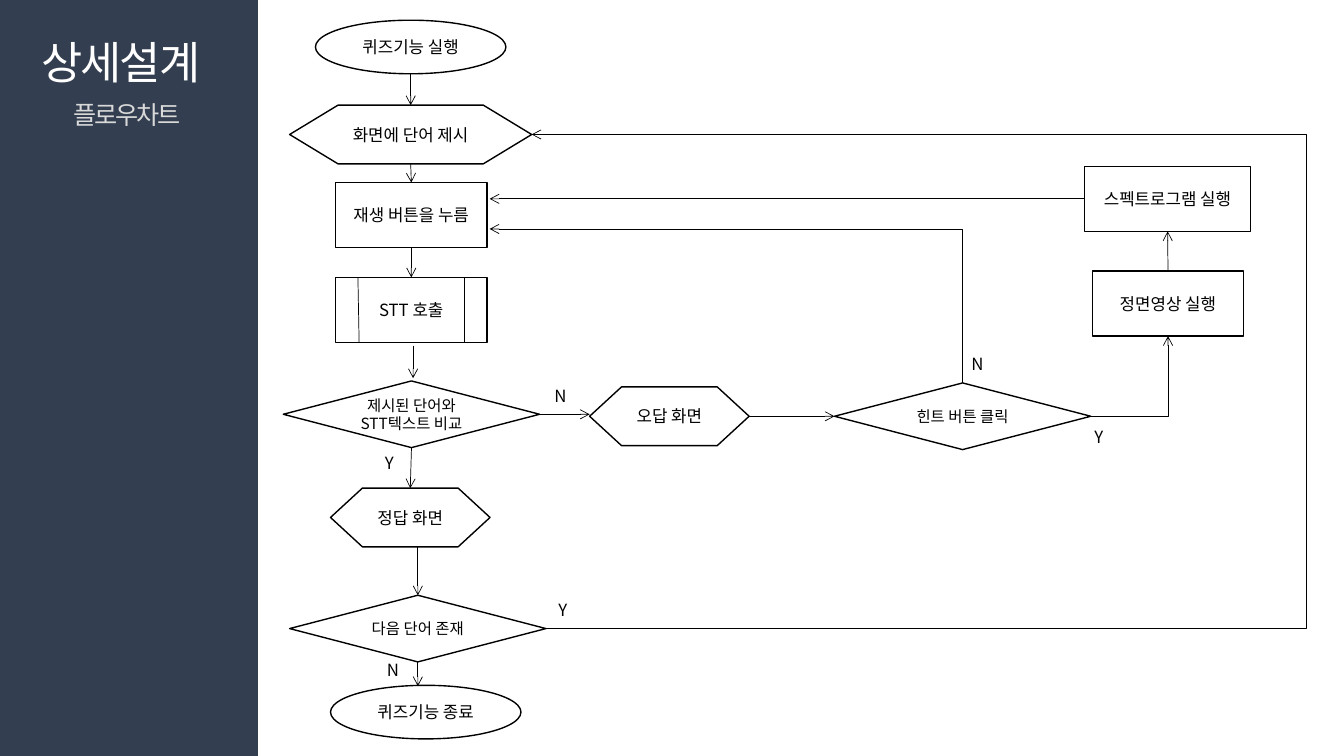
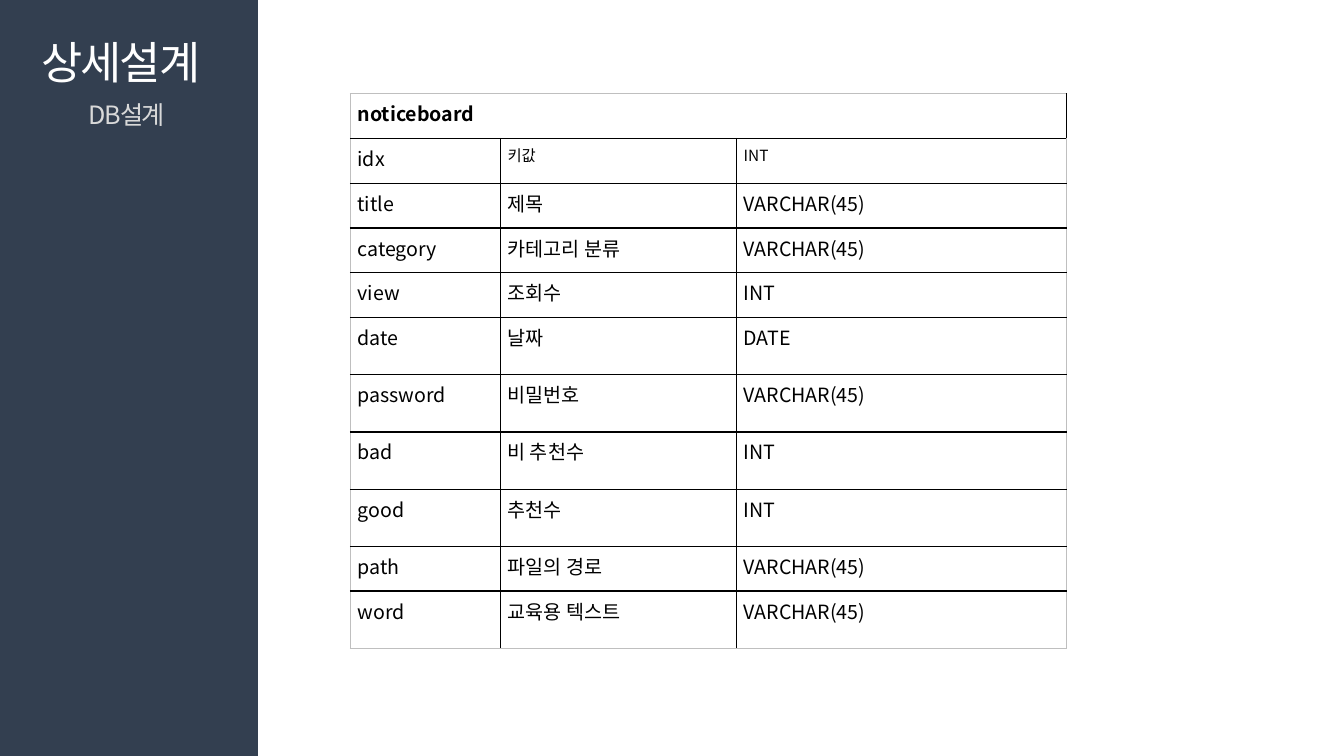
from dataclasses import dataclass

from lxml import etree
from pptx import Presentation
from pptx.dml.color import RGBColor
from pptx.enum.shapes import MSO_CONNECTOR, MSO_SHAPE
from pptx.enum.text import MSO_ANCHOR, MSO_AUTO_SIZE, PP_ALIGN
from pptx.oxml.ns import qn
from pptx.util import Cm, Pt

RECT = MSO_SHAPE.RECTANGLE
OVAL = MSO_SHAPE.OVAL
DECISION = MSO_SHAPE.FLOWCHART_DECISION
SCREEN = MSO_SHAPE.FLOWCHART_PREPARATION
STRAIGHT, ELBOW = MSO_CONNECTOR.STRAIGHT, MSO_CONNECTOR.ELBOW
LEFT, CENTER = PP_ALIGN.LEFT, PP_ALIGN.CENTER
MIDDLE = MSO_ANCHOR.MIDDLE
GROW = MSO_AUTO_SIZE.SHAPE_TO_FIT_TEXT
TOP_SIDE, LEFT_SIDE, BOTTOM_SIDE, RIGHT_SIDE = range(4)


@dataclass(frozen=True)
class Theme:
    font: str = "Noto Sans CJK KR"
    band: str = "333F50"
    ink: str = "000000"
    paper: str = "FFFFFF"
    subtitle: str = "D9D9D9"
    frame: str = "BFBFBF"
    title_size: int = 32
    subtitle_size: int = 18
    table_size: int = 14
    body_size: int = 12
    small_size: int = 11
    outline: float = 1
    hairline: float = 0.5
    tracking: float = -1.5


THEME = Theme()

# Content: shared title and subtitles
TITLE = "상세설계"
FLOW_SUBTITLE = "플로우차트"
DB_SUBTITLE = "DB설계"

# Content: flowchart, lengths in cm
NODE_SIZES = {OVAL: (4.8, 1.35), RECT: (3.81, 1.64),
              DECISION: (6.46, 1.68), SCREEN: (4.02, 1.48)}
NODES = {  # name: shape, left, top, text, optional width
    "start": (OVAL, 7.95, 0.51, "퀴즈기능 실행"),
    "show": (SCREEN, 7.3, 2.65, "화면에 단어 제시", 6.1),
    "play": (RECT, 8.46, 4.6, "재생 버튼을 누름"),
    "stt": (RECT, 8.46, 6.99, "STT 호출"),
    "compare": (DECISION, 7.14, 9.6, "제시된 단어와 STT텍스트 비교"),
    "wrong": (SCREEN, 14.86, 9.75, "오답 화면"),
    "correct": (SCREEN, 8.33, 12.3, "정답 화면"),
    "next": (DECISION, 7.3, 15, "다음 단어 존재"),
    "end": (OVAL, 8.33, 17.27, "퀴즈기능 종료"),
    "hint": (DECISION, 21.03, 9.65, "힌트 버튼 클릭"),
    "spectrogram": (RECT, 27.33, 4.19, "스펙트로그램 실행", 4.19),
    "front": (RECT, 27.53, 6.83, "정면영상 실행"),
}
# An end is either (node, side) or a point (x, y)
ARROWS = [
    (("start", BOTTOM_SIDE), ("show", TOP_SIDE)),
    (("show", BOTTOM_SIDE), ("play", TOP_SIDE)),
    (("play", BOTTOM_SIDE), ("stt", TOP_SIDE)),
    ((10.41, 8.71), (10.41, 9.53)),
    (("compare", BOTTOM_SIDE), ("correct", TOP_SIDE)),
    ((10.53, 13.78), ("next", TOP_SIDE)),
    (("next", BOTTOM_SIDE), (10.53, 17.29)),
    (("compare", RIGHT_SIDE), (14.86, 10.44)),
    (("wrong", RIGHT_SIDE), ("hint", LEFT_SIDE)),
    (("front", TOP_SIDE), ("spectrogram", BOTTOM_SIDE)),
    (("spectrogram", LEFT_SIDE), (12.34, 5.01)),
]
STT_BARS = [((9.02, 6.99), (9.05, 8.63)), ((11.71, 6.99), (11.71, 8.63))]
LOOP_X = 32.92
BRANCH_LABELS = [
    ("Y", 9.45, 11.28), ("N", 13.72, 9.6), ("N", 9.5, 16.51),
    ("Y", 13.82, 14.99), ("N", 24.23, 8.79), ("Y", 27.33, 10.64),
]

# Content: database table
TABLE_NAME = "noticeboard"
FIELDS = [
    ("idx", "키값", "INT"),
    ("title", "제목", "VARCHAR(45)"),
    ("category", "카테고리 분류", "VARCHAR(45)"),
    ("view", "조회수", "INT"),
    ("date", "날짜", "DATE"),
    ("password", "비밀번호", "VARCHAR(45)"),
    ("bad", "비 추천수", "INT"),
    ("good", "추천수", "INT"),
    ("path", "파일의 경로", "VARCHAR(45)"),
    ("word", "교육용 텍스트", "VARCHAR(45)"),
]
COLUMN_WIDTHS = (3.78, 5.95, 8.31)
ROW_HEIGHT, TALL_ROW_HEIGHT = 1.13, 1.44
TALL_FIELDS = {"date", "password", "bad", "good", "word"}


# Helpers
def rgb(value):
    return RGBColor.from_string(value)


def write(tf, text, size=THEME.body_size, color=THEME.ink, bold=False,
          align=LEFT, tracking=None):
    p = tf.paragraphs[0]
    p.alignment = align
    r = p.add_run()
    r.text = text
    r.font.size, r.font.bold, r.font.name = Pt(size), bold, THEME.font
    r.font.color.rgb = rgb(color)
    rpr = r.font._element
    etree.SubElement(rpr, qn("a:ea")).set("typeface", THEME.font)
    if tracking is not None:
        rpr.set("spc", str(round(tracking * 100)))


def add_label(slide, box, text, wrap=True, **style):
    tf = slide.shapes.add_textbox(*map(Cm, box)).text_frame
    tf.word_wrap = wrap
    tf.auto_size = GROW
    write(tf, text, **style)


def add_box(slide, kind, box, fill, line=None):
    sp = slide.shapes.add_shape(kind, *map(Cm, box))
    sp.shadow.inherit = False
    sp.fill.solid()
    sp.fill.fore_color.rgb = rgb(fill)
    if line:
        sp.line.color.rgb = rgb(line)
        sp.line.width = Pt(THEME.outline)
    else:
        sp.line.fill.background()
    return sp


def add_line(slide, nodes, begin, end, kind=STRAIGHT, arrow="tailEnd"):
    """Draw a line; ends given as (node, side) are joined to that node."""
    ends = [(0, 0) if isinstance(e[0], str) else e for e in (begin, end)]
    line = slide.shapes.add_connector(kind, *map(Cm, ends[0] + ends[1]))
    for e, join in ((begin, line.begin_connect), (end, line.end_connect)):
        if isinstance(e[0], str):
            join(nodes[e[0]], e[1])
    line.line.color.rgb = rgb(THEME.ink)
    line.line.width = Pt(THEME.hairline)
    sppr = line._element.spPr
    if arrow:
        etree.SubElement(sppr.find(qn("a:ln")), qn("a:" + arrow)).set("type", "arrow")
    etree.SubElement(sppr, qn("a:effectLst"))
    return line


def single_bend(line):
    line._element.spPr.find(qn("a:prstGeom")).set("prst", "bentConnector2")


def bend_at(line, x):
    """Move the middle leg of an elbow to the given x."""
    share = (Cm(x) - line.begin_x) / (line.end_x - line.begin_x)
    geom = line._element.spPr.find(qn("a:prstGeom"))
    guides = geom.find(qn("a:avLst"))
    if guides is None:
        guides = etree.SubElement(geom, qn("a:avLst"))
    guide = etree.SubElement(guides, qn("a:gd"))
    guide.set("name", "adj1")
    guide.set("fmla", f"val {round(share * 100000)}")


def set_borders(cell, colors):
    tcpr = cell._tc.get_or_add_tcPr()
    for i, (side, color) in enumerate(zip("LRTB", colors)):
        ln = etree.Element(qn("a:ln" + side), w=str(Pt(THEME.outline)))
        fill = etree.SubElement(ln, qn("a:solidFill"))
        etree.SubElement(fill, qn("a:srgbClr")).set("val", color)
        tcpr.insert(i, ln)


# Slides
def add_base_slide(prs, subtitle):
    slide = prs.slides.add_slide(prs.slide_layouts[6])
    add_box(slide, RECT, (0, 0, 6.5, 19.05), THEME.band)
    add_label(slide, (0.8, 0.76, 5.23, 1.62), TITLE, size=THEME.title_size,
              color=THEME.paper, tracking=THEME.tracking)
    add_label(slide, (0.8, 2.38, 4.8, 1.03), subtitle, size=THEME.subtitle_size,
              color=THEME.subtitle, align=CENTER, tracking=THEME.tracking)
    return slide


def add_flowchart(prs):
    slide = add_base_slide(prs, FLOW_SUBTITLE)
    nodes = {}
    for name, (kind, left, top, text, *custom) in NODES.items():
        width, height = NODE_SIZES[kind]
        width = custom[0] if custom else width
        sp = add_box(slide, kind, (left, top, width, height), THEME.paper, THEME.ink)
        tf = sp.text_frame
        tf.word_wrap = True
        tf.vertical_anchor = MIDDLE
        size = THEME.small_size if kind == DECISION else THEME.body_size
        write(tf, text, size=size, align=CENTER)
        nodes[name] = sp

    for begin, end in ARROWS:
        add_line(slide, nodes, begin, end)
    for begin, end in STT_BARS:
        add_line(slide, nodes, begin, end, arrow=None)

    # Bent arrows: next word, hint accepted, hint declined
    bend_at(add_line(slide, nodes, ("next", RIGHT_SIDE), ("show", RIGHT_SIDE), ELBOW),
            LOOP_X)
    single_bend(add_line(slide, nodes, ("hint", RIGHT_SIDE), ("front", BOTTOM_SIDE),
                         ELBOW))
    single_bend(add_line(slide, nodes, (12.34, 5.77), ("hint", TOP_SIDE), ELBOW,
                         arrow="headEnd"))

    for text, left, top in BRANCH_LABELS:
        add_label(slide, (left, top, 0.82, 0.77), text, wrap=False)


def add_db_table(prs):
    slide = add_base_slide(prs, DB_SUBTITLE)
    rows = [(TABLE_NAME, "", "")] + FIELDS
    heights = [TALL_ROW_HEIGHT if row[0] in TALL_FIELDS else ROW_HEIGHT for row in rows]
    last_row, last_col = len(rows) - 1, len(COLUMN_WIDTHS) - 1
    box = (8.83, 2.36, sum(COLUMN_WIDTHS), sum(heights))
    table = slide.shapes.add_table(len(rows), len(COLUMN_WIDTHS), *map(Cm, box)).table
    table.first_row = table.horz_banding = False
    for column, width in zip(table.columns, COLUMN_WIDTHS):
        column.width = Cm(width)
    for i, (row, height) in enumerate(zip(rows, heights)):
        table.rows[i].height = Cm(height)
        for j, text in enumerate(row):
            cell = table.cell(i, j)
            cell.fill.background()
            cell.margin_left = cell.margin_right = Cm(0.18)
            cell.margin_top = cell.margin_bottom = Cm(0.13)
            outer = (j == 0, j == last_col, i == 0, i == last_row)
            set_borders(cell, [THEME.frame if edge else THEME.ink for edge in outer])
            if text:
                small = i == 1 and j > 0
                write(cell.text_frame, text, bold=i == 0,
                      size=THEME.small_size if small else THEME.table_size)
    table.cell(0, 0).merge(table.cell(0, last_col))


def main():
    prs = Presentation()
    prs.slide_width, prs.slide_height = Cm(33.87), Cm(19.05)
    add_flowchart(prs)
    add_db_table(prs)
    prs.save("out.pptx")


if __name__ == "__main__":
    main()
